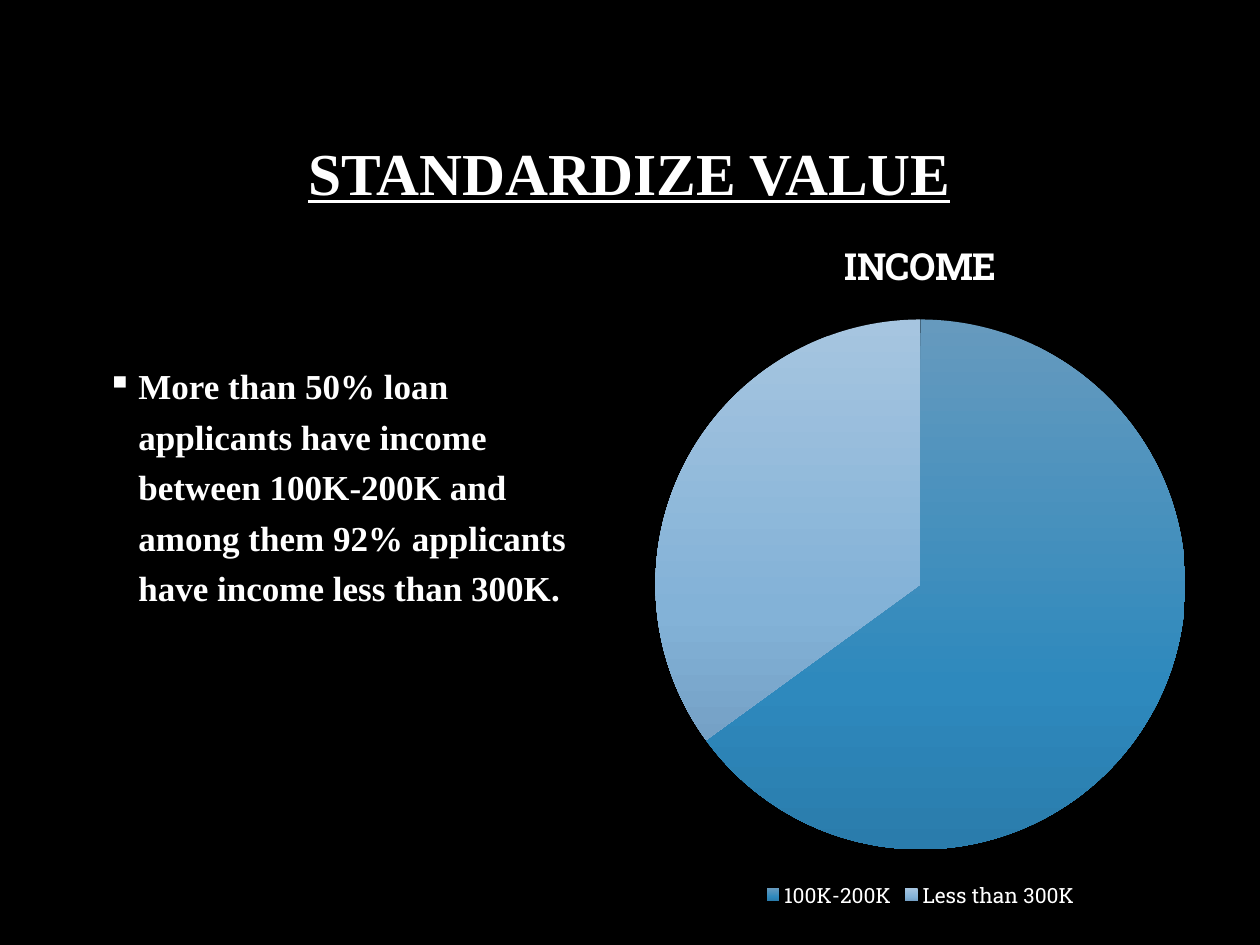
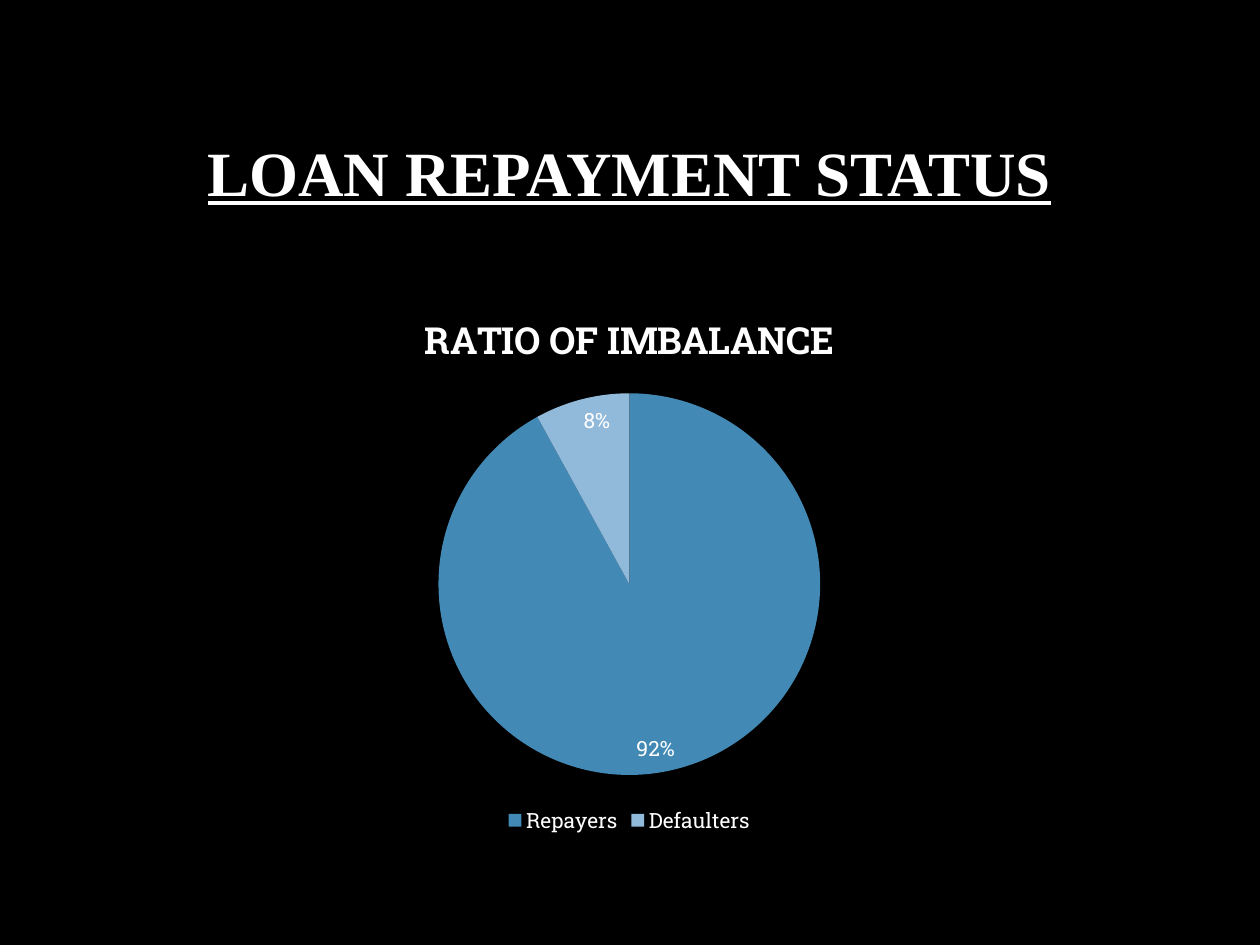
from dataclasses import dataclass

from lxml.etree import SubElement
from pptx import Presentation
from pptx.chart.data import CategoryChartData
from pptx.dml.color import RGBColor
from pptx.enum.chart import XL_CHART_TYPE, XL_LABEL_POSITION, XL_LEGEND_POSITION
from pptx.enum.text import MSO_ANCHOR, PP_ALIGN
from pptx.oxml.ns import qn
from pptx.slide import Slide
from pptx.text.text import Font, TextFrame
from pptx.util import Inches, Pt


@dataclass(frozen=True)
class Theme:
    back: str = "000000"
    ink: str = "FFFFFF"
    serif: str = "Times New Roman"
    slab: str = "Roboto Slab"
    body: float = 20
    chart: float = 10
    head: float = 21.3
    key: float = 12


@dataclass(frozen=True)
class Box:
    left: float
    top: float
    width: float
    height: float

    def inches(self) -> tuple[Inches, ...]:
        return tuple(Inches(n) for n in (self.left, self.top, self.width, self.height))


@dataclass(frozen=True)
class Slice:
    """One share of a pie; several colours make a vertical gradient."""
    name: str
    value: float
    tints: tuple[str, ...]


@dataclass(frozen=True)
class Pie:
    box: Box
    title: str
    series: str
    shares: tuple[Slice, ...]
    labels: bool = False


THEME = Theme()
TITLE = Box(0.75, 0.67, 8.49, 1.45)
BODY = Box(0.75, 2.28, 4.19, 4.05)
STOPS = (0, 69, 100)

INCOME = Pie(Box(4.94, 1.67, 4.73, 5.58), "INCOME", "INCOME", (
    Slice("100K-200K", 65, ("669ABE", "2E89BD", "2A7CAC")),
    Slice("Less than 300K", 35, ("A6C5E0", "83B2D7", "75A1C6")),
))
RATIO = Pie(Box(1.58, 2.28, 6.83, 4.38), "RATIO OF IMBALANCE", "Series 1", (
    Slice("Repayers", 92, ("428AB5",)),
    Slice("Defaulters", 8, ("91B9D9",)),
), labels=True)


def style(font: Font, face: str, size: float, bold: bool = False) -> None:
    font.name, font.size, font.bold = face, Pt(size), bold
    font.color.rgb = RGBColor.from_string(THEME.ink)


def add_frame(slide: Slide, box: Box) -> TextFrame:
    frame = slide.shapes.add_textbox(*box.inches()).text_frame
    frame.word_wrap = True
    return frame


def add_title(slide: Slide, text: str, size: float) -> None:
    frame = add_frame(slide, TITLE)
    frame.vertical_anchor = MSO_ANCHOR.MIDDLE
    para = frame.paragraphs[0]
    para.alignment, para.line_spacing = PP_ALIGN.CENTER, 0.9
    run = para.add_run()
    run.text = text
    style(run.font, THEME.serif, size, bold=True)
    run.font.underline = True


def add_bullet(slide: Slide, text: str) -> None:
    frame = add_frame(slide, BODY)
    frame.margin_top = Inches(0.55)
    para = frame.paragraphs[0]
    para.line_spacing = 1.2
    props = para._p.get_or_add_pPr()
    props.set("marL", str(Inches(0.25)))
    props.set("indent", str(Inches(-0.25)))
    SubElement(props, qn("a:buChar"), char="▪")
    run = para.add_run()
    run.text = text
    style(run.font, THEME.serif, THEME.body, bold=True)


def add_pie(slide: Slide, pie: Pie) -> None:
    data = CategoryChartData()
    data.categories = [share.name for share in pie.shares]
    data.add_series(pie.series, [share.value for share in pie.shares])
    chart = slide.shapes.add_chart(XL_CHART_TYPE.PIE, *pie.box.inches(), data).chart
    style(chart.font, THEME.slab, THEME.chart)

    chart.has_title = True
    run = chart.chart_title.text_frame.paragraphs[0].add_run()
    run.text = pie.title
    style(run.font, THEME.slab, THEME.head, bold=True)
    chart.chart_title.include_in_layout = False

    chart.has_legend = True
    chart.legend.position = XL_LEGEND_POSITION.BOTTOM
    chart.legend.include_in_layout = False
    style(chart.legend.font, THEME.slab, THEME.key)

    series = chart.plots[0].series[0]
    for index, share in enumerate(pie.shares):
        fill = series.points[index].format.fill
        if len(share.tints) == 1:
            fill.solid()
            fill.fore_color.rgb = RGBColor.from_string(share.tints[0])
        else:
            fill.gradient()
            fill.gradient_angle = 270
            set_stops(series._element.xpath("c:dPt//a:gsLst")[index], share.tints)

    if pie.labels:
        labels = series.data_labels
        labels.show_percentage, labels.show_value = True, False
        labels.number_format, labels.number_format_is_linked = "0%", False
        labels.position = XL_LABEL_POSITION.INSIDE_END
        style(labels.font, THEME.slab, THEME.key)


def set_stops(stops, tints: tuple[str, ...]) -> None:
    """Replace the default gradient stops."""
    for old in list(stops):
        stops.remove(old)
    for place, tint in zip(STOPS, tints):
        stop = SubElement(stops, qn("a:gs"), pos=str(place * 1000))
        SubElement(stop, qn("a:srgbClr"), val=tint)


def main() -> None:
    deck = Presentation()
    deck.slide_width, deck.slide_height = Inches(10), Inches(7.5)
    back = deck.slide_master.background.fill
    back.solid()
    back.fore_color.rgb = RGBColor.from_string(THEME.back)
    blank = deck.slide_layouts[6]

    value = deck.slides.add_slide(blank)
    add_title(value, "STANDARDIZE VALUE", 34)
    add_bullet(value, "More than 50% loan applicants have income between 100K-200K "
                      "and among them 92% applicants have income less than 300K.")
    add_pie(value, INCOME)

    status = deck.slides.add_slide(blank)
    add_title(status, "LOAN REPAYMENT STATUS", 36)
    add_pie(status, RATIO)

    deck.save("out.pptx")


if __name__ == "__main__":
    main()
